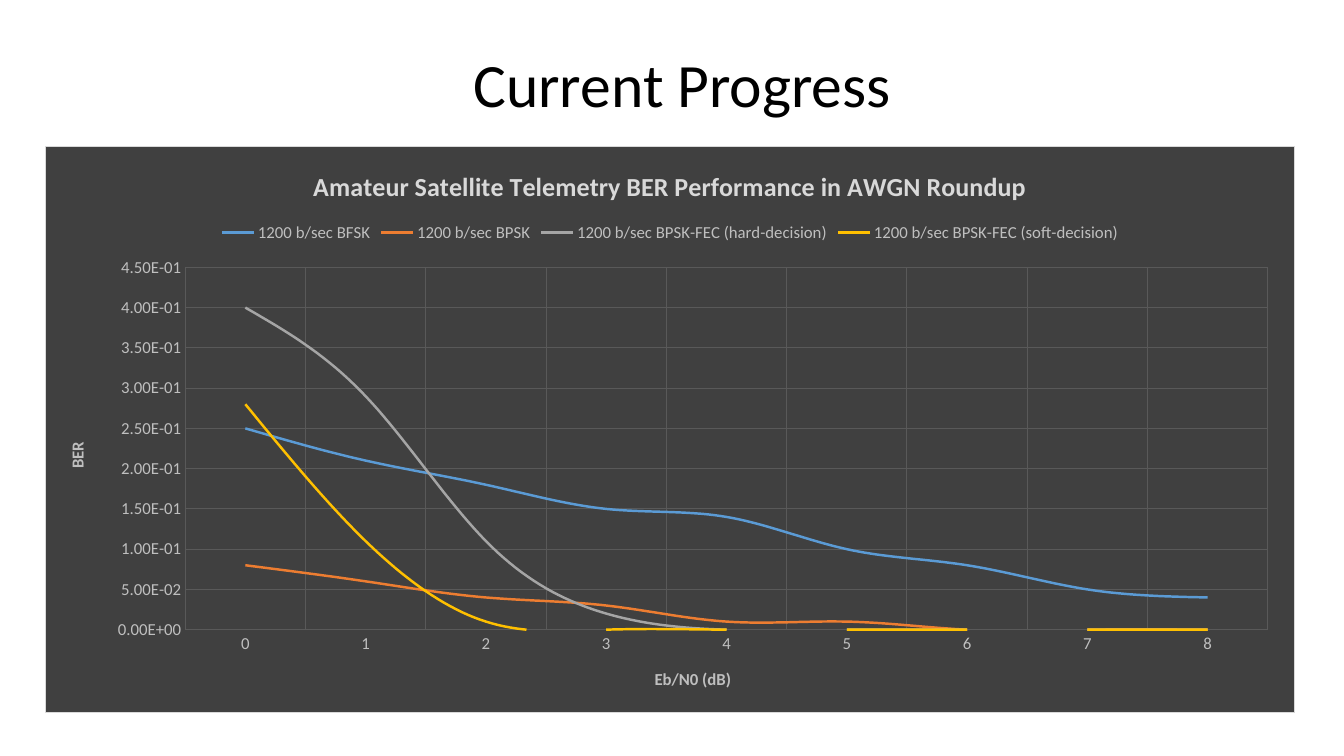
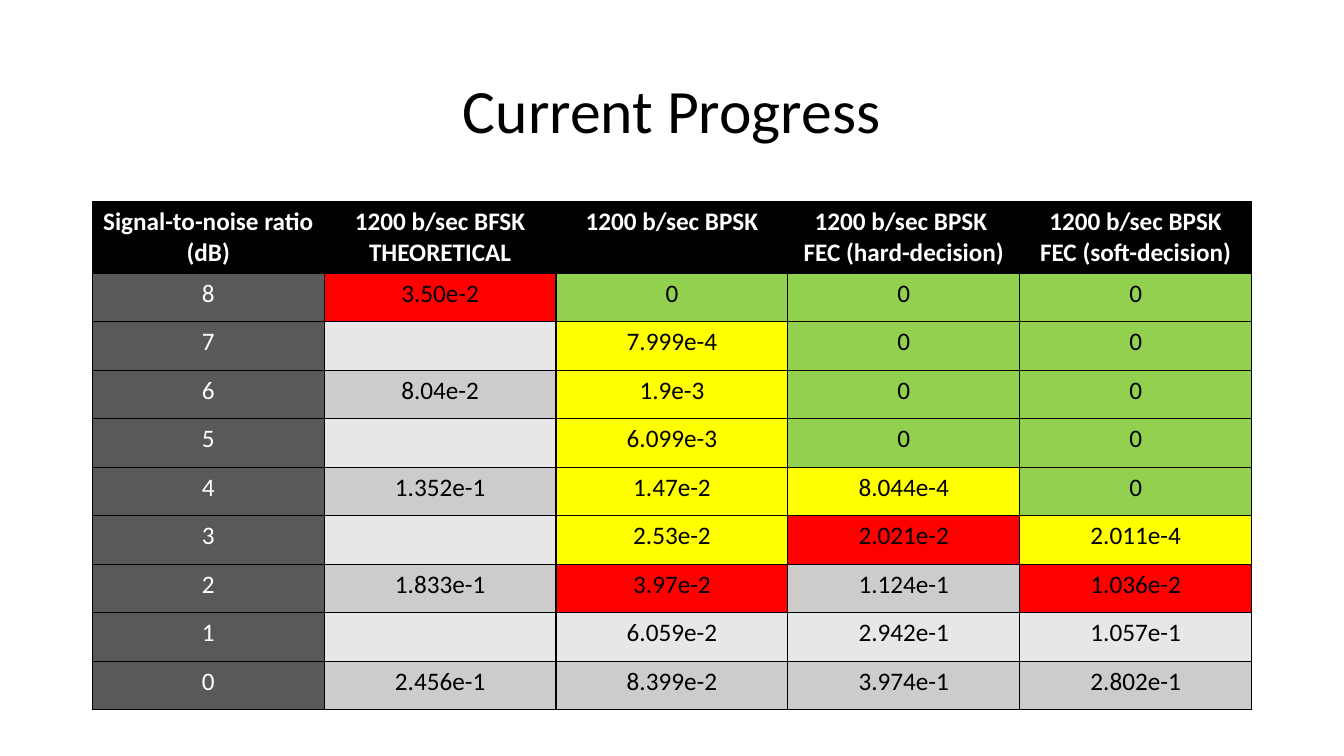
from dataclasses import dataclass, field

from lxml.etree import SubElement
from pptx import Presentation
from pptx.chart.chart import Chart
from pptx.chart.data import CategoryChartData
from pptx.dml.color import RGBColor
from pptx.enum.chart import XL_CHART_TYPE, XL_LEGEND_POSITION, XL_TICK_MARK
from pptx.enum.text import MSO_ANCHOR, PP_ALIGN
from pptx.oxml import parse_xml
from pptx.oxml.ns import nsdecls, qn
from pptx.slide import Slide
from pptx.table import _Cell
from pptx.util import Pt

FONT = "Calibri"
BLACK, WHITE = "000000", "FFFFFF"
CHART_BACK, CHART_BORDER, GRID = "404040", "D9D9D9", "595959"
CHART_TITLE, CHART_TEXT = "D9D9D9", "BFBFBF"
SNR_FILL = "595959"
BAND_FILLS = ("CCCCCC", "E7E7E7")
RATING_FILLS = {"R": "FF0000", "Y": "FFFF00", "G": "92D050"}

SNR_LEVELS = range(8, -1, -1)
HEADER_HEIGHT, ROW_HEIGHT = 46, 34.65
CHART_WIDTH, CHART_HEIGHT = 892.8, 405


@dataclass(frozen=True)
class Scheme:
    """A modulation scheme with its bit error rates, from 8 dB down to 0 dB.

    Each letter of ratings colours one rate: R, Y, G, or - for a plain band.
    Rates left out of the table but plotted are held in untabled, by dB.
    """

    name: str
    header: str
    colour: str
    rates: tuple[str, ...]
    ratings: str
    untabled: dict[int, float] = field(default_factory=dict)

    def plotted_rates(self) -> list[float]:
        pairs = zip(SNR_LEVELS, self.rates)
        rates = [float(rate) if rate else self.untabled[snr] for snr, rate in pairs]
        return [round(rate, 2) for rate in reversed(rates)]


SCHEMES = (
    Scheme("1200 b/sec BFSK", "1200 b/sec BFSK\nTHEORETICAL", "5B9BD5",
           ("3.50e-2", "", "8.04e-2", "", "1.352e-1", "", "1.833e-1", "", "2.456e-1"),
           "R--------", {7: 0.05, 5: 0.1, 3: 0.15, 1: 0.21}),
    Scheme("1200 b/sec BPSK", "1200 b/sec BPSK", "ED7D31",
           ("0", "7.999e-4", "1.9e-3", "6.099e-3", "1.47e-2", "2.53e-2",
            "3.97e-2", "6.059e-2", "8.399e-2"),
           "GYYYYYR--"),
    Scheme("1200 b/sec BPSK-FEC (hard-decision)",
           "1200 b/sec BPSK \nFEC (hard-decision)", "A5A5A5",
           ("0", "0", "0", "0", "8.044e-4", "2.021e-2", "1.124e-1", "2.942e-1", "3.974e-1"),
           "GGGGYR---"),
    Scheme("1200 b/sec BPSK-FEC (soft-decision)",
           "1200 b/sec BPSK\nFEC (soft-decision)", "FFC000",
           ("0", "0", "0", "0", "0", "2.011e-4", "1.036e-2", "1.057e-1", "2.802e-1"),
           "GGGGGYR--"),
)


def rgb(colour: str) -> RGBColor:
    return RGBColor.from_string(colour)


def set_font(font, size: float, colour: str, bold: bool = False) -> None:
    font.name = FONT
    font.size = Pt(size)
    font.bold = bold
    font.color.rgb = rgb(colour)


def set_text(frame, text: str, size: float, colour: str, bold: bool = False) -> None:
    frame.text = text
    for paragraph in frame.paragraphs:
        paragraph.alignment = PP_ALIGN.CENTER
        for run in paragraph.runs:
            set_font(run.font, size, colour, bold)


def add_titled_slide(deck, title: str, left: float, top: float) -> Slide:
    slide = deck.slides.add_slide(deck.slide_layouts[5])
    heading = slide.shapes.title
    heading.left, heading.top = Pt(left), Pt(top)
    heading.width, heading.height = Pt(828), Pt(104.4)
    set_text(heading.text_frame, title, 44, BLACK)
    heading.text_frame.vertical_anchor = MSO_ANCHOR.MIDDLE
    heading.text_frame.paragraphs[0].line_spacing = 0.9
    return slide


def style_chart_frame(chart: Chart) -> None:
    """Give the chart its background and border, and place its plot area."""
    space = chart.element
    space.find(qn("c:chart")).addnext(parse_xml(
        f'<c:spPr {nsdecls("c", "a")}>'
        f'<a:solidFill><a:srgbClr val="{CHART_BACK}"/></a:solidFill>'
        f'<a:ln w="{Pt(0.75)}"><a:solidFill><a:srgbClr val="{CHART_BORDER}"/></a:solidFill></a:ln>'
        '</c:spPr>'))
    plot_area = space.find(qn("c:chart")).find(qn("c:plotArea"))
    for former in plot_area.findall(qn("c:layout")):
        plot_area.remove(former)
    layout = parse_xml(f'<c:layout {nsdecls("c")}><c:manualLayout/></c:layout>')
    settings = {"layoutTarget": "inner", "xMode": "edge", "yMode": "edge",
                "x": 99.6 / CHART_WIDTH, "y": 86.4 / CHART_HEIGHT,
                "w": 774 / CHART_WIDTH, "h": 259.3 / CHART_HEIGHT}
    for tag, value in settings.items():
        SubElement(layout[0], qn(f"c:{tag}")).set("val", str(value))
    plot_area.insert(0, layout)


def style_axis(axis, title: str) -> None:
    set_text(axis.axis_title.text_frame, title, 12, CHART_TEXT, bold=True)
    set_font(axis.tick_labels.font, 12, CHART_TEXT)
    axis.major_tick_mark = axis.minor_tick_mark = XL_TICK_MARK.NONE
    axis.format.line.fill.background()
    axis.has_major_gridlines = True
    axis.major_gridlines.format.line.color.rgb = rgb(GRID)
    axis.major_gridlines.format.line.width = Pt(0.75)


def add_ber_chart(slide: Slide) -> None:
    ber_data = CategoryChartData(number_format="0.00E+00")
    ber_data.categories = [str(snr) for snr in reversed(SNR_LEVELS)]
    for scheme in SCHEMES:
        ber_data.add_series(scheme.name, scheme.plotted_rates())
    chart = slide.shapes.add_chart(
        XL_CHART_TYPE.LINE, Pt(32.4), Pt(104.4),
        Pt(CHART_WIDTH), Pt(CHART_HEIGHT), ber_data).chart

    set_font(chart.font, 10, CHART_TEXT)
    style_chart_frame(chart)
    chart.has_title = True
    set_text(chart.chart_title.text_frame,
             "Amateur Satellite Telemetry BER Performance in AWGN Roundup",
             18.6, CHART_TITLE, bold=True)
    chart.chart_title.include_in_layout = False
    chart.has_legend = True
    chart.legend.position = XL_LEGEND_POSITION.TOP
    chart.legend.include_in_layout = False
    set_font(chart.legend.font, 12, CHART_TEXT)

    style_axis(chart.category_axis, "Eb/N0 (dB)")
    rate_axis = chart.value_axis
    style_axis(rate_axis, "BER")
    rate_axis.minimum_scale, rate_axis.maximum_scale = 0, 0.45
    rate_axis.major_unit = 0.05
    rate_axis.tick_labels.number_format = "0.00E+00"
    rate_axis.tick_labels.number_format_is_linked = False

    plot = chart.plots[0]
    plot.vary_by_categories = False
    for curve, scheme in zip(plot.series, SCHEMES):
        curve.smooth = True
        curve.format.line.color.rgb = rgb(scheme.colour)
        curve.format.line.width = Pt(1.75)


def fill_cell(cell: _Cell, text: str, fill: str, colour: str, bold: bool = False) -> None:
    properties = cell._tc.get_or_add_tcPr()
    for side in ("lnL", "lnR", "lnT", "lnB"):
        properties.append(parse_xml(
            f'<a:{side} {nsdecls("a")} w="{Pt(1)}"><a:solidFill>'
            f'<a:srgbClr val="{BLACK}"/></a:solidFill></a:{side}>'))
    cell.fill.solid()
    cell.fill.fore_color.rgb = rgb(fill)
    set_text(cell.text_frame, text, 18, colour, bold)


def add_ber_table(slide: Slide) -> None:
    row_count, column_count = len(SNR_LEVELS) + 1, len(SCHEMES) + 1
    height = HEADER_HEIGHT + ROW_HEIGHT * len(SNR_LEVELS)
    table = slide.shapes.add_table(
        row_count, column_count, Pt(66), Pt(144), Pt(828), Pt(height)).table
    table.horz_banding = False
    for index, row in enumerate(table.rows):
        row.height = Pt(ROW_HEIGHT if index else HEADER_HEIGHT)

    headers = ["Signal-to-noise ratio\n(dB)"] + [scheme.header for scheme in SCHEMES]
    for column, header in enumerate(headers):
        fill_cell(table.cell(0, column), header, BLACK, WHITE, bold=True)
    for index, snr in enumerate(SNR_LEVELS):
        fill_cell(table.cell(index + 1, 0), str(snr), SNR_FILL, WHITE)
        band = BAND_FILLS[index % 2]
        for column, scheme in enumerate(SCHEMES, start=1):
            fill = RATING_FILLS.get(scheme.ratings[index], band)
            fill_cell(table.cell(index + 1, column), scheme.rates[index], fill, BLACK)


def main() -> None:
    deck = Presentation()
    deck.slide_width, deck.slide_height = Pt(960), Pt(540)
    add_ber_chart(add_titled_slide(deck, "Current Progress", 73.4, 10))
    add_ber_table(add_titled_slide(deck, "Current Progress", 66, 28.8))
    deck.save("out.pptx")


if __name__ == "__main__":
    main()
